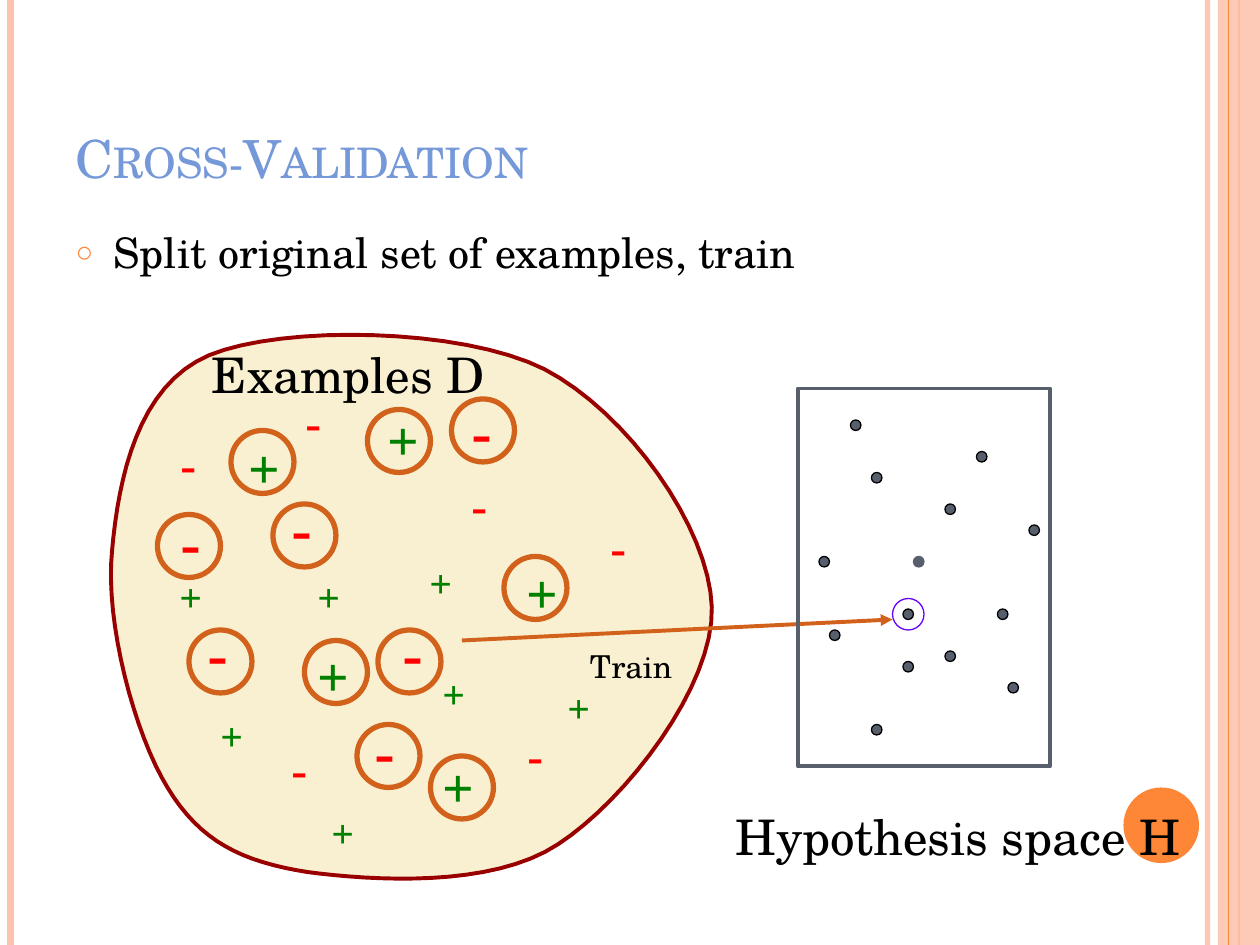
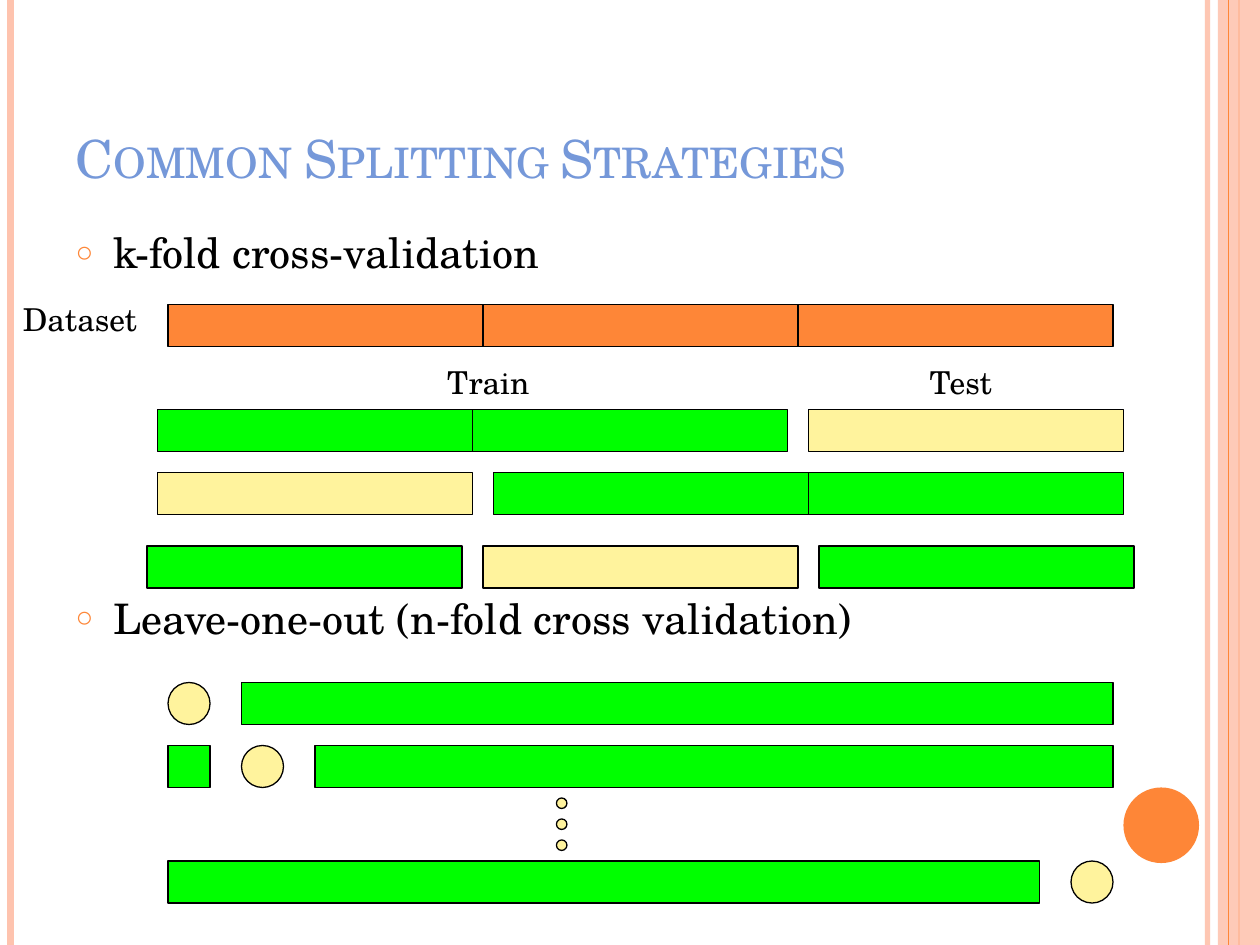
"""Build two slides on cross-validation, laid out on a grid of twelve steps to the inch."""
import itertools
from dataclasses import dataclass
from typing import Optional

import lxml.etree
import pptx
import pptx.dml.color
import pptx.enum.shapes
import pptx.enum.text
import pptx.oxml.ns
import pptx.util

FONT = "TeX Gyre Schola"
COLOURS = {
    "title": "7598D9", "text": "000000", "orange": "FE8637", "band": "FEC3AE",
    "positive": "008000", "negative": "FF0000", "examples": "F8F0D0",
    "outline": "990000", "ring": "D2611C", "hypothesis": "575F6D",
    "chosen": "6600FF", "train": "00FF00", "test": "FFF39D",
}
OVAL = pptx.enum.shapes.MSO_SHAPE.OVAL
RECTANGLE = pptx.enum.shapes.MSO_SHAPE.RECTANGLE
LEFT = pptx.enum.text.PP_ALIGN.LEFT
CENTER = pptx.enum.text.PP_ALIGN.CENTER


@dataclass(frozen=True)
class Rule:
    x: float
    colour: str
    weight: float
    opacity: int = 100


@dataclass(frozen=True)
class Symbols:
    glyph: str
    colour: str
    size: int
    width: float
    height: float
    spots: tuple


@dataclass(frozen=True)
class Label:
    text: str
    left: float
    top: float
    width: float
    size: int
    align: pptx.enum.text.PP_ALIGN = LEFT


@dataclass(frozen=True)
class Segment:
    role: str
    width: float
    shape: pptx.enum.shapes.MSO_SHAPE = RECTANGLE


@dataclass(frozen=True)
class Row:
    top: float
    segments: tuple
    gap: float


RULES = (
    Rule(115, "band", 3, 93), Rule(1, "band", 4.5),
    Rule(118, "orange", 1.5), Rule(117, "orange", 0.75),
)

SYMBOLS = (
    Symbols("+", "positive", 20, 0.91, 1.09, (
        (10, 13), (19, 20), (0, 13), (11, 30), (28, 21), (3, 23), (18, 12))),
    Symbols("-", "negative", 28, 0.84, 1.45, (
        (25, 24), (0, 3), (8, 25), (21, 6), (31, 9), (9, 0))),
    Symbols("+", "positive", 28, 1.09, 1.45, (
        (10, 18), (15, 1), (25, 12), (5, 3), (19, 26))),
    Symbols("-", "negative", 36, 0.94, 1.78, (
        (2, 16), (0, 8), (16, 16), (21, 0), (8, 7), (14, 23))),
)
RINGS = ((22, 41), (26, 48), (15, 49), (18, 60), (29, 61), (36, 60),
         (35, 39), (43, 38), (48, 53), (34, 69), (41, 72))
HYPOTHESES = ((86, 58), (83, 45), (81, 40), (90, 48), (98, 50), (78, 53), (90, 62),
              (79, 60), (95, 58), (86, 63), (93, 43), (96, 65), (83, 69))

EXAMPLES_START = (6.2, 17.58)
EXAMPLES_CURVES = (
    ((4.88, 17.37), (4.04, 16.97), (3.38, 15.88)),
    ((2.72, 14.81), (2.11, 12.55), (2.26, 11.1)),
    ((2.39, 9.65), (2.77, 7.77), (4.22, 7.16)),
    ((5.69, 6.55), (9.3, 6.6), (10.97, 7.44)),
    ((12.65, 8.31), (14.3, 10.64), (14.35, 12.24)),
    ((14.4, 13.82), (12.62, 16.13), (11.25, 17.02)),
    ((9.91, 17.91), (7.49, 17.75), (6.2, 17.58)),
)

ROW_CENTRE = 61
BAR_HEIGHT = 4
FOLD = 30
TRAIN, TEST = Segment("train", FOLD), Segment("test", FOLD)
LEFT_OUT = Segment("test", BAR_HEIGHT, OVAL)
ROWS = (
    Row(29, (Segment("orange", FOLD),) * 3, 2),
    Row(39, (TRAIN, TRAIN, TEST), 2),
    Row(45, (TEST, TRAIN, TRAIN), 2),
    Row(52, (TRAIN, TEST, TRAIN), 2),
    Row(65, (LEFT_OUT, Segment("train", 83)), 3),
    Row(71, (Segment("train", 4), LEFT_OUT, Segment("train", 76)), 3),
    Row(82, (Segment("train", 83), LEFT_OUT), 3),
)


def grid(steps: float) -> pptx.util.Length:
    """Turn grid steps into a length."""
    return pptx.util.Cm(steps * 2.54 / 12)


def rgb(name: str) -> pptx.dml.color.RGBColor:
    """Look a colour up by name."""
    return pptx.dml.color.RGBColor.from_string(COLOURS[name])


def add_child(parent, tag: str, **attributes: str):
    """Append a drawing element to its parent."""
    return lxml.etree.SubElement(parent, pptx.oxml.ns.qn(tag), attributes)


def set_opacity(element, percent: int) -> None:
    """Make every colour inside the element partly see-through."""
    for colour in element.iter(pptx.oxml.ns.qn("a:srgbClr")):
        add_child(colour, "a:alpha", val=str(percent * 1000))


def paint(shape, fill: Optional[str], line: Optional[str], weight: float = 0.75) -> None:
    """Set fill and outline, and drop the shadow."""
    shape.shadow.inherit = False
    if fill:
        shape.fill.solid()
        shape.fill.fore_color.rgb = rgb(fill)
    else:
        shape.fill.background()
    if line:
        shape.line.color.rgb = rgb(line)
        shape.line.width = pptx.util.Pt(weight)
    else:
        shape.line.fill.background()


def add_figure(slide, kind, left: float, top: float, width: float, height: float,
               fill: Optional[str], line: Optional[str], weight: float = 0.75):
    """Draw a preset shape placed in grid steps."""
    figure = slide.shapes.add_shape(kind, grid(left), grid(top), grid(width), grid(height))
    paint(figure, fill, line, weight)
    return figure


def add_line(slide, start: tuple, end: tuple, colour: str, weight: float):
    """Draw a straight line between two grid points."""
    line = slide.shapes.add_connector(
        pptx.enum.shapes.MSO_CONNECTOR.STRAIGHT, *map(grid, start + end))
    line.line.color.rgb = rgb(colour)
    line.line.width = pptx.util.Pt(weight)
    add_child(line._element.spPr, "a:effectLst")
    return line


def format_runs(paragraph, size: int, colour: str) -> None:
    """Give the runs of a paragraph their font."""
    for run in paragraph.runs:
        run.font.name = FONT
        run.font.size = pptx.util.Pt(size)
        run.font.color.rgb = rgb(colour)


def add_text(slide, text: str, box: tuple, size: int, colour: str, wrap: bool,
             align=LEFT) -> None:
    """Write one line of text into a box."""
    frame = slide.shapes.add_textbox(*box).text_frame
    frame.word_wrap = wrap
    frame.auto_size = pptx.enum.text.MSO_AUTO_SIZE.SHAPE_TO_FIT_TEXT
    frame.text = text
    frame.paragraphs[0].alignment = align
    format_runs(frame.paragraphs[0], size, colour)


def add_label(slide, label: Label) -> None:
    """Write a label placed in grid steps."""
    height = pptx.util.Cm(1.45 if label.size > 18 else 1.02)
    box = (grid(label.left), grid(label.top), grid(label.width), height)
    add_text(slide, label.text, box, label.size, "text", True, label.align)


def place(placeholder, left: float, top: float, width: float, height: float) -> None:
    """Move a placeholder to a spot on the grid."""
    placeholder.left, placeholder.top = grid(left), grid(top)
    placeholder.width, placeholder.height = grid(width), grid(height)


def prepare_layout(layout) -> None:
    """Keep only title and body on the layout and move them."""
    title, body, *footers = layout.placeholders
    place(title, 6, 3.6, 98, 15)
    place(body, 6, 21, 98, 64)
    for footer in footers:
        footer._element.getparent().remove(footer._element)


def add_bands(slide, layout) -> None:
    """Draw the side bands and disc, and hand them to the layout."""
    bands = []
    for rule in RULES:
        line = add_line(slide, (rule.x, 0), (rule.x, 90), rule.colour, rule.weight)
        if rule.opacity < 100:
            set_opacity(line._element.spPr, rule.opacity)
        bands.append(line)
    stripe = add_figure(slide, RECTANGLE, 116, 0, 4, 90, "band", None)
    set_opacity(stripe._element.spPr, 87)
    bands.insert(3, stripe)
    bands.append(add_figure(slide, OVAL, 107, 75, 7.2, 7.2, "orange", None))
    for band in bands:
        layout.shapes._spTree.append(band._element)


def fill_placeholders(slide, heading: str, points: tuple, spacing: tuple) -> None:
    """Write the heading and the bulleted points."""
    title, body = slide.placeholders
    title.text_frame.text = heading
    title.text_frame.vertical_anchor = pptx.enum.text.MSO_ANCHOR.BOTTOM
    title.text_frame.paragraphs[0].alignment = LEFT
    format_runs(title.text_frame.paragraphs[0], 30, "title")
    title.text_frame.paragraphs[0].runs[0].font._element.set("cap", "small")
    body.text_frame.text = "\n".join(points)
    body.text_frame.auto_size = pptx.enum.text.MSO_AUTO_SIZE.NONE
    for paragraph, before in zip(body.text_frame.paragraphs, spacing):
        format_runs(paragraph, 24, "text")
        paragraph.space_before = pptx.util.Pt(before)
        properties = paragraph._p.get_or_add_pPr()
        indent = pptx.util.Cm(0.76)
        properties.set("marL", str(int(indent)))
        properties.set("indent", str(-int(indent)))
        add_child(add_child(properties, "a:buClr"), "a:srgbClr", val=COLOURS["orange"])
        add_child(properties, "a:buSzPct", val="70000")
        add_child(properties, "a:buChar", char="○")


def add_examples(slide, steps: int = 16) -> None:
    """Outline the set of examples along its curves."""
    points, start = [], EXAMPLES_START
    for first, second, end in EXAMPLES_CURVES:
        for t in (step / steps for step in range(1, steps + 1)):
            u = 1 - t
            points.append(tuple(
                pptx.util.Cm(u**3 * a + 3 * u * u * t * b + 3 * u * t * t * c + t**3 * d)
                for a, b, c, d in zip(start, first, second, end)))
        start = end
    builder = slide.shapes.build_freeform(*map(pptx.util.Cm, EXAMPLES_START))
    builder.add_line_segments(points, close=True)
    paint(builder.convert_to_shape(), "examples", "outline", 2.25)


def add_symbols(slide, symbols: Symbols) -> None:
    """Scatter one kind of example over the set."""
    for column, row in symbols.spots:
        box = (3.38 + 0.28 * column, 7.77 + 0.28 * row, symbols.width, symbols.height)
        add_text(slide, symbols.glyph, tuple(map(pptx.util.Cm, box)),
                 symbols.size, symbols.colour, False)


def add_row(slide, row: Row) -> None:
    """Draw a centred row of segments with a gap wherever the role changes."""
    gaps = [row.gap * (a.role != b.role) for a, b in itertools.pairwise(row.segments)]
    left = ROW_CENTRE - (sum(segment.width for segment in row.segments) + sum(gaps)) / 2
    for segment, gap in zip(row.segments, gaps + [0]):
        add_figure(slide, segment.shape, left, row.top, segment.width, BAR_HEIGHT,
                   segment.role, "text")
        left += segment.width + gap


def build_cross_validation(slide) -> None:
    """Show a sample of the examples training one hypothesis."""
    fill_placeholders(slide, "Cross-Validation",
                      ("Split original set of examples, train",), (6,))
    add_examples(slide)
    for symbols in SYMBOLS:
        add_symbols(slide, symbols)
    for left, top in RINGS:
        add_figure(slide, OVAL, left, top, 6, 6, None, "ring", 3)
    training = add_line(slide, (44, 61), (85, 59), "ring", 2.25)
    add_child(training._element.spPr.find(pptx.oxml.ns.qn("a:ln")), "a:tailEnd", type="triangle")
    add_figure(slide, RECTANGLE, 76, 37, 24, 36, None, "hypothesis", 2.25)
    for left, top in HYPOTHESES:
        add_figure(slide, OVAL, left, top, 1, 1, "hypothesis", "text")
    add_figure(slide, OVAL, 87, 53, 1, 1, "hypothesis", "hypothesis")
    add_figure(slide, OVAL, 85, 57, 3, 3, None, "chosen")
    for label in (Label("Hypothesis space H", 68.9, 76.2, 48, 28),
                  Label("Train", 55, 61, 14, 18), Label("Examples D", 19, 32.2, 48, 28)):
        add_label(slide, label)


def build_strategies(slide) -> None:
    """Show how each strategy splits the dataset."""
    fill_placeholders(slide, "Common Splitting Strategies",
                      ("k-fold cross-validation", "Leave-one-out (n-fold cross validation)"),
                      (6, 180))
    for row in ROWS:
        add_row(slide, row)
    for top in range(76, 82, 2):
        add_figure(slide, OVAL, 53, top, 1, 1, "test", "text")
    for label in (Label("Train", 30, 34, 33, 18, CENTER),
                  Label("Test", 75, 34, 33, 18, CENTER), Label("Dataset", 1, 28, 15, 18)):
        add_label(slide, label)


def main() -> None:
    """Build and save the presentation."""
    deck = pptx.Presentation()
    deck.slide_width, deck.slide_height = grid(120), grid(90)
    layout = deck.slide_layouts[1]
    prepare_layout(layout)
    first, second = (deck.slides.add_slide(layout) for _ in range(2))
    add_bands(first, layout)
    build_cross_validation(first)
    build_strategies(second)
    deck.save("out.pptx")


if __name__ == "__main__":
    main()
